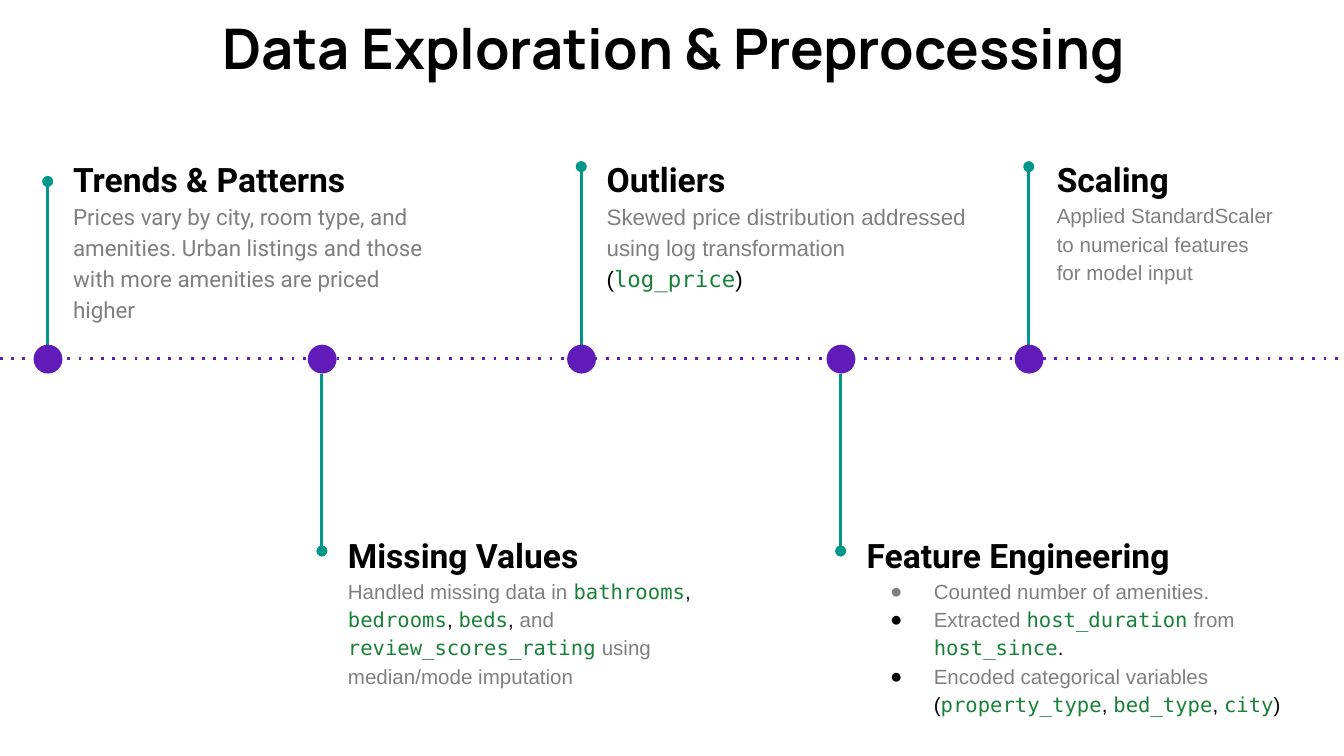
from lxml.etree import SubElement
from pptx import Presentation
from pptx.dml.color import RGBColor
from pptx.enum.shapes import MSO_CONNECTOR, MSO_SHAPE
from pptx.enum.text import MSO_ANCHOR, PP_ALIGN
from pptx.oxml.ns import qn
from pptx.util import Pt

PX = 4572  # EMU per px, 200 px to the inch
WIDTH, HEIGHT = 2000, 1125
AXIS_Y, DOT = 534, 43
INSET = 20

BLACK = RGBColor(0x00, 0x00, 0x00)
GREY = RGBColor(0x7F, 0x7F, 0x7F)
GREEN = RGBColor(0x18, 0x80, 0x38)
PURPLE = RGBColor(0x61, 0x1B, 0xB8)
TEAL = RGBColor(0x00, 0x96, 0x88)

# Run formats
PLAIN = {"font": "Arial", "color": GREY}
MARK = {"font": "Arial", "color": BLACK}
CODE = {"font": "DejaVu Sans Mono", "color": GREEN}
ROBOTO = {"font": "Roboto", "color": GREY}
COMMA = (", ", MARK)

# Each milestone: heading, axis x, stem end y, text box, text size, bullet colours, paragraphs
MILESTONES = [
    ("Trends & Patterns", 71, 270, (89, 208, 582, 212), 12, None, [
        [("Prices vary by city, room type, and amenities. Urban listings "
          "and those with more amenities are priced higher", ROBOTO)]]),
    ("Missing Values", 479, 820, (498, 767, 582, 212), 11, None, [
        [("Handled missing data in ", PLAIN), ("bathrooms", CODE), COMMA,
         ("bedrooms", CODE), COMMA, ("beds", CODE), COMMA, ("and ", PLAIN),
         ("review_scores_rating", CODE), (" using median/mode imputation", PLAIN)]]),
    ("Outliers", 865, 248, (883, 208, 582, 212), 12, None, [
        [("Skewed price distribution addressed using log transformation ", PLAIN),
         ("(", MARK), ("log_price", CODE), (")", MARK)]]),
    ("Feature Engineering", 1251, 820, (1270, 767, 666, 212), 11, [GREY, BLACK, BLACK], [
        [("Counted number of amenities.", PLAIN)],
        [("Extracted ", PLAIN), ("host_duration", CODE), (" from ", PLAIN),
         ("host_since", CODE), (".", MARK)],
        [("Encoded categorical variables ", PLAIN), ("(", MARK), ("property_type", CODE),
         COMMA, ("bed_type", CODE), COMMA, ("city", CODE), (")", MARK)]]),
    ("Scaling", 1531, 248, (1553, 208, 368, 212), 11, None, [
        [("Applied StandardScaler to numerical features for model input", PLAIN)]]),
]


def emu(*lengths):
    return [length * PX for length in lengths]


def add_run(paragraph, text, font="Arial", size=12, color=BLACK, bold=False):
    run = paragraph.add_run()
    run.text = text
    run.font.name, run.font.size, run.font.bold = font, Pt(size), bold
    run.font.color.rgb = color


def prepare_frame(frame):
    frame.word_wrap = True
    frame.vertical_anchor = MSO_ANCHOR.TOP
    frame.margin_left = frame.margin_right = INSET * PX
    frame.margin_top = frame.margin_bottom = INSET * PX


def add_bullet(paragraph, color):
    properties = paragraph._p.get_or_add_pPr()
    properties.set("marL", str(100 * PX))
    properties.set("indent", str(-65 * PX))
    bullet_color = SubElement(properties, qn("a:buClr"))
    SubElement(bullet_color, qn("a:srgbClr"), val=str(color))
    SubElement(properties, qn("a:buFont"), typeface="Arial")
    SubElement(properties, qn("a:buChar"), char="●")


def add_line(shapes, start, end, color, detail, **attributes):
    """Draw a line; detail names the extra a:ln child (dash or arrowhead)."""
    line = shapes.add_connector(MSO_CONNECTOR.STRAIGHT, *emu(*start, *end))
    line.line.color.rgb = color
    line.line.width = Pt(1.5)
    SubElement(line.line._get_or_add_ln(), qn(detail), **attributes)
    SubElement(line._element.spPr, qn("a:effectLst"))


def add_title(slide, box, text):
    title = slide.shapes.title
    title.left, title.top, title.width, title.height = emu(*box)
    prepare_frame(title.text_frame)
    paragraph = title.text_frame.paragraphs[0]
    paragraph.alignment = PP_ALIGN.CENTER
    paragraph.line_spacing = 1.0
    add_run(paragraph, text, font="Manrope", size=30, bold=True)


def add_marker(slide, x, stem_end):
    """Group an axis dot with the stem that leaves its edge."""
    shapes = slide.shapes.add_group_shape().shapes
    left, top = x - DOT // 2, AXIS_Y - DOT // 2
    stem_start = top if stem_end < AXIS_Y else top + DOT
    add_line(shapes, (x, stem_start), (x, stem_end), TEAL, "a:tailEnd", type="oval")
    dot = shapes.add_shape(MSO_SHAPE.OVAL, *emu(left, top, DOT, DOT))
    dot.shadow.inherit = False
    dot.fill.solid()
    dot.fill.fore_color.rgb = PURPLE
    dot.line.fill.background()


def add_description(slide, box, heading, size, bullets, paragraphs):
    frame = slide.shapes.add_textbox(*emu(*box)).text_frame
    prepare_frame(frame)
    paragraph = frame.paragraphs[0]
    paragraph.line_spacing = 1.15
    add_run(paragraph, heading, font="Roboto", size=18, bold=True)
    for index, runs in enumerate(paragraphs):
        paragraph = frame.add_paragraph()
        paragraph.line_spacing = 1.15
        if bullets:
            add_bullet(paragraph, bullets[index])
        for text, style in runs:
            add_run(paragraph, text, size=size, **style)


def main():
    presentation = Presentation()
    presentation.slide_width, presentation.slide_height = emu(WIDTH, HEIGHT)
    slide = presentation.slides.add_slide(presentation.slide_layouts[5])

    add_title(slide, (71, 0, 1864, 136), "Data Exploration & Preprocessing")

    # Timeline axis
    add_line(slide.shapes, (0, AXIS_Y), (2006, AXIS_Y), PURPLE, "a:prstDash", val="dot")

    # Milestones, alternating above and below the axis
    for heading, x, stem_end, box, size, bullets, paragraphs in MILESTONES:
        add_marker(slide, x, stem_end)
        add_description(slide, box, heading, size, bullets, paragraphs)

    presentation.save("out.pptx")


if __name__ == "__main__":
    main()
